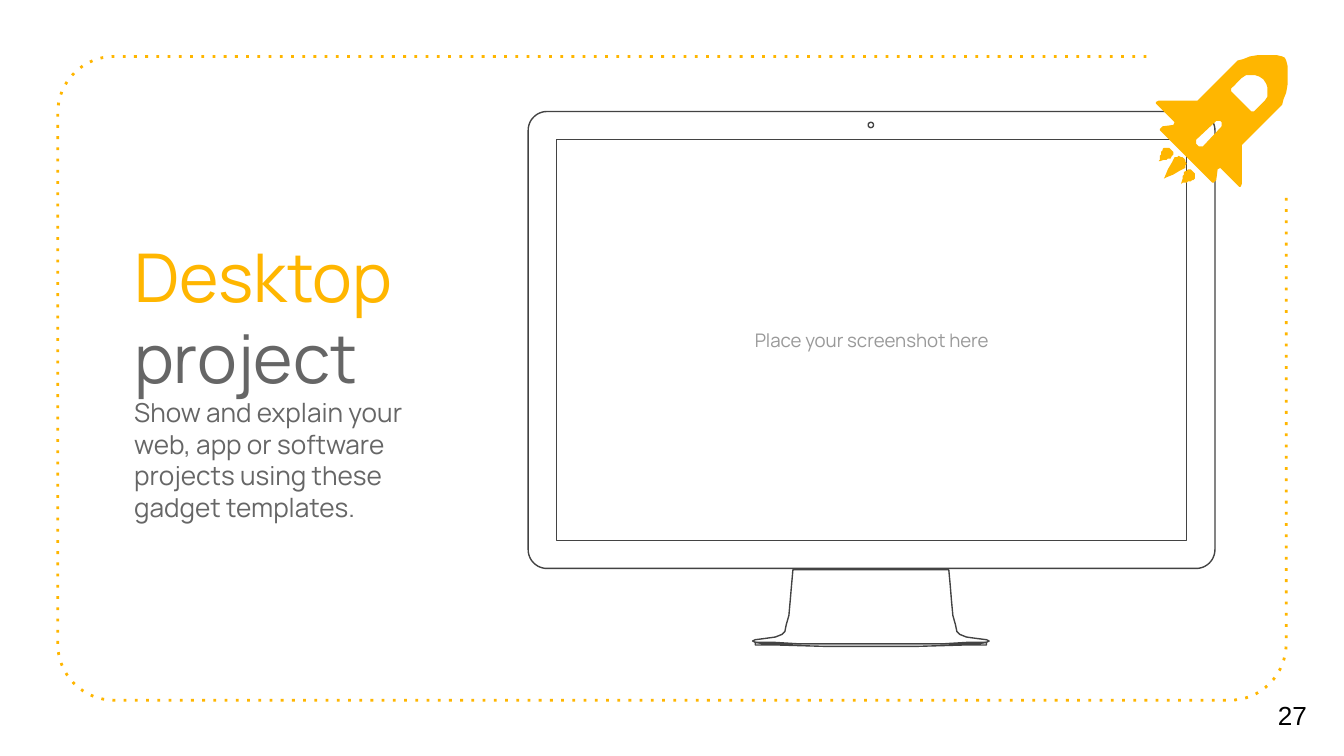
from math import cos, radians, sin

from pptx import Presentation
from pptx.dml.color import RGBColor
from pptx.enum.dml import MSO_LINE
from pptx.enum.text import MSO_ANCHOR, PP_ALIGN
from pptx.oxml.ns import qn
from pptx.util import Inches, Pt

YELLOW = RGBColor(0xFF, 0xB6, 0x00)
WHITE = RGBColor(0xFF, 0xFF, 0xFF)
BLACK = RGBColor(0x00, 0x00, 0x00)
DARK = RGBColor(0x43, 0x43, 0x43)
GRAY = RGBColor(0x66, 0x66, 0x66)
LIGHT_GRAY = RGBColor(0x99, 0x99, 0x99)

# Each paragraph is a list of runs: text, size, colour
MESSAGE = [
    [("Desktop ", 36, YELLOW), ("project", 36, GRAY)],
    [("Show and explain your web, app or software projects using these "
      "gadget templates.", 14, GRAY)],
]
PLACEHOLDER = [[("Place your screenshot here", 10, LIGHT_GRAY)]]
PAGE_NUMBER = [[("27", 14, BLACK)]]

# Left, top, right, bottom
FRAME = (0.43, 0.42, 9.57, 5.21)
FRAME_RADIUS = 0.42
FRAME_GAP = (8.53, 1.46)  # where the top edge and the right edge stop
MONITOR = (3.93, 0.83, 9.04, 4.23)
SCREEN = (4.14, 1.04, 8.83, 4.02)

# Left halves, mirrored about the middle of the stand
STAND_AXIS = 6.48
STAND_HALF = [(5.9, 4.24), (5.89, 4.35), (5.88, 4.47), (5.87, 4.58), (5.85, 4.65),
              (5.84, 4.7), (5.82, 4.72), (5.77, 4.74), (5.7, 4.75), (5.62, 4.76),
              (5.6, 4.77), (5.62, 4.78), (5.76, 4.78), (5.93, 4.79)]
FOOT_HALF = [(6.15, 4.79), (5.78, 4.79), (5.68, 4.79), (5.62, 4.78), (5.62, 4.8),
             (5.8, 4.8), (6.15, 4.81)]

# Upper halves, mirrored about the diagonal x + y = ROCKET_AXIS
ROCKET_AXIS = 9.99
HULL_HALF = [(9.56, 0.43), (9.54, 0.42), (9.5, 0.41), (9.42, 0.41), (9.36, 0.41),
             (9.3, 0.42), (9.25, 0.44), (9.21, 0.45), (9.18, 0.48), (8.91, 0.75),
             (8.62, 0.75), (8.6, 0.76), (8.6, 0.77), (8.61, 0.78), (8.74, 0.91),
             (8.73, 0.93), (8.65, 0.94), (8.63, 0.96), (8.63, 0.97), (8.64, 0.98)]
WINDOW_HALF = [(9.4, 0.59), (9.37, 0.57), (9.34, 0.56), (9.3, 0.56), (9.27, 0.56),
               (9.24, 0.58), (9.18, 0.64), (9.16, 0.66), (9.16, 0.68), (9.18, 0.7)]
SLOT_HALF = [(9.08, 0.9), (9.06, 0.9), (9.05, 0.9), (8.9, 1.04), (8.9, 1.05),
             (8.9, 1.07)]
MIDDLE_FLAME_HALF = [(8.81, 1.18), (8.8, 1.17), (8.79, 1.17), (8.77, 1.16),
                     (8.76, 1.17), (8.74, 1.17), (8.73, 1.19), (8.72, 1.21),
                     (8.69, 1.26), (8.67, 1.31), (8.66, 1.33)]
SIDE_FLAME = [(8.68, 1.1), (8.66, 1.1), (8.65, 1.11), (8.65, 1.12), (8.64, 1.13),
              (8.64, 1.15), (8.63, 1.16), (8.63, 1.19), (8.62, 1.2), (8.63, 1.2),
              (8.66, 1.19), (8.68, 1.19), (8.69, 1.18), (8.71, 1.18), (8.72, 1.16),
              (8.73, 1.15), (8.73, 1.13), (8.72, 1.12), (8.71, 1.11), (8.7, 1.1)]


def arc(x, y, radius, start, end, steps=16):
    """Points on a circle; angles in degrees, clockwise from the right."""
    angles = [radians(start + (end - start) * i / steps) for i in range(steps + 1)]
    return [(x + radius * cos(a), y + radius * sin(a)) for a in angles]


def corners(box, radius):
    """Arcs for the top left, bottom left, bottom right and top right corners."""
    left, top, right, bottom = box
    xs, ys = (left + radius, right - radius), (top + radius, bottom - radius)
    centers = [(xs[0], ys[0]), (xs[0], ys[1]), (xs[1], ys[1]), (xs[1], ys[0])]
    return [arc(x, y, radius, 270 - 90 * i, 180 - 90 * i)
            for i, (x, y) in enumerate(centers)]


def across_stand(points):
    return [(2 * STAND_AXIS - x, y) for x, y in reversed(points)]


def across_rocket(points):
    return [(ROCKET_AXIS - y, ROCKET_AXIS - x) for x, y in reversed(points)]


def add_outline(shapes, contours, fill=None, line=None, width=0.75, close=True):
    contours = [[(Inches(x), Inches(y)) for x, y in points] for points in contours]
    builder = shapes.build_freeform(*contours[0][0])
    for i, points in enumerate(contours):
        if i:
            builder.move_to(*points[0])
        builder.add_line_segments(points[1:], close=close)
    outline = builder.convert_to_shape()
    outline.shadow.inherit = False
    if fill is None:
        outline.fill.background()
    else:
        outline.fill.solid()
        outline.fill.fore_color.rgb = fill
    if line is None:
        outline.line.fill.background()
    else:
        outline.line.color.rgb = line
        outline.line.width = Pt(width)
    return outline


def add_text(shapes, paragraphs, left, top, width, height, font="Manrope",
             align=PP_ALIGN.LEFT):
    frame = shapes.add_textbox(*map(Inches, (left, top, width, height))).text_frame
    frame.word_wrap = True
    frame.vertical_anchor = MSO_ANCHOR.MIDDLE
    frame.margin_left = frame.margin_right = Inches(0.1)
    frame.margin_top = frame.margin_bottom = Inches(0.1)
    for i, runs in enumerate(paragraphs):
        paragraph = frame.add_paragraph() if i else frame.paragraphs[0]
        paragraph.alignment = align
        for text, size, color in runs:
            run = paragraph.add_run()
            run.text = text
            run.font.name = font
            run.font.size = Pt(size)
            run.font.color.rgb = color


def add_frame(shapes):
    top_left, bottom_left, bottom_right, _ = corners(FRAME, FRAME_RADIUS)
    border = [(FRAME_GAP[0], FRAME[1]), *top_left, *bottom_left, *bottom_right,
              (FRAME[2], FRAME_GAP[1])]
    outline = add_outline(shapes, [border], line=YELLOW, width=1.5, close=False)
    outline.line.dash_style = MSO_LINE.ROUND_DOT
    # The widely spaced "dot" preset has no member in MSO_LINE
    next(outline.element.iter(qn("a:prstDash"))).set("val", "dot")


def add_monitor(shapes):
    left, top, right, bottom = SCREEN
    camera = arc(6.48, 0.93, 0.02, 0, 360)
    screen = [(right, top), (right, bottom), (left, bottom), (left, top)]
    body = sum(corners(MONITOR, 0.14), [])
    stand = STAND_HALF + across_stand(STAND_HALF)
    foot = FOOT_HALF + across_stand(FOOT_HALF)
    add_outline(shapes, [camera, screen, body, stand, foot], fill=WHITE, line=DARK)
    add_text(shapes, PLACEHOLDER, left, top, right - left, bottom - top,
             align=PP_ALIGN.CENTER)


def add_rocket(shapes):
    rocket = shapes.add_group_shape().shapes
    hull = [half + across_rocket(half) for half in (WINDOW_HALF, SLOT_HALF, HULL_HALF)]
    middle_flame = MIDDLE_FLAME_HALF + across_rocket(MIDDLE_FLAME_HALF)
    for contours in (hull, [middle_flame], [across_rocket(SIDE_FLAME)], [SIDE_FLAME]):
        add_outline(rocket, contours, fill=YELLOW)


def main():
    deck = Presentation()
    deck.slide_width = Inches(10)
    deck.slide_height = deck.slide_width * 9 // 16
    shapes = deck.slides.add_slide(deck.slide_layouts[6]).shapes
    add_frame(shapes)
    add_monitor(shapes)
    add_text(shapes, PAGE_NUMBER, 9.41, 5.02, 0.59, 0.6, font="Arial")
    add_text(shapes, MESSAGE, 0.9, 0.42, 2.48, 4.8)
    add_rocket(shapes)
    deck.save("out.pptx")


if __name__ == "__main__":
    main()
